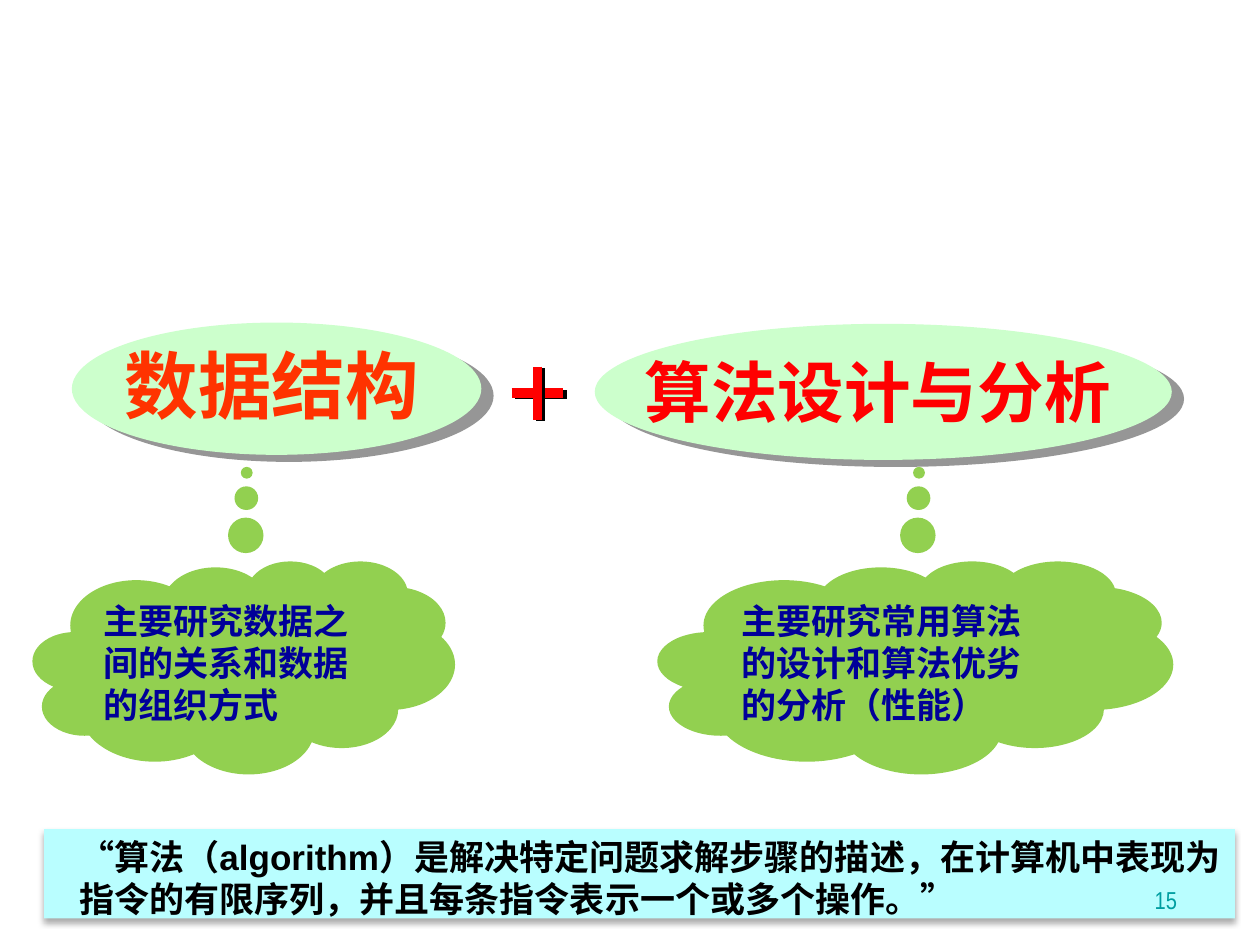
from dataclasses import dataclass

from lxml import etree
from pptx import Presentation
from pptx.dml.color import RGBColor
from pptx.enum.shapes import MSO_CONNECTOR, MSO_SHAPE
from pptx.enum.text import MSO_ANCHOR, PP_ALIGN
from pptx.oxml.ns import qn
from pptx.util import Inches, Pt

OVAL, RECT, CLOUD = MSO_SHAPE.OVAL, MSO_SHAPE.RECTANGLE, MSO_SHAPE.CLOUD_CALLOUT
LINE = MSO_CONNECTOR.STRAIGHT
TOP, BOTTOM = MSO_ANCHOR.TOP, MSO_ANCHOR.BOTTOM
LEFT, RIGHT = PP_ALIGN.LEFT, PP_ALIGN.RIGHT
BLANK = 6


@dataclass(frozen=True)
class Theme:
    latin: str = "Arial"
    han: str = "Noto Sans CJK SC"
    narrow: str = "Arial Narrow"
    mint: str = "CCFFCC"
    orange: str = "FF3300"
    red: str = "FF0000"
    green: str = "92D050"
    navy: str = "000099"
    aqua: str = "B9FEFF"
    teal: str = "009EA1"
    black: str = "000000"
    gray: str = "969696"
    head: int = 42
    wide: int = 38
    body: int = 20
    small: int = 14
    bar: float = 5.25


T = Theme()


def inch(box):
    return [Inches(v) for v in box]


def shade(shape, color, dist, angle, blur=0, alpha=100):
    """Give a shape or line an outer shadow; lengths are in points."""
    props = shape._element.spPr
    effect = props.find(qn("a:effectLst"))
    if effect is None:
        effect = etree.SubElement(props, qn("a:effectLst"))
    cast = etree.SubElement(effect, qn("a:outerShdw"), blurRad=str(Pt(blur)),
                            dist=str(Pt(dist)), dir=str(angle * 60000),
                            algn="ctr", rotWithShape="0")
    tint = etree.SubElement(cast, qn("a:srgbClr"), val=color)
    etree.SubElement(tint, qn("a:alpha"), val=str(alpha * 1000))


def write(shape, text, size, color, font=T.han, bold=True, align=LEFT,
          anchor=TOP, indent=0):
    """Write one paragraph; text is a string or a list of (text, font)."""
    frame = shape.text_frame
    frame.word_wrap = True
    frame.vertical_anchor = anchor
    para = frame.paragraphs[0]
    para.alignment = align
    if indent:
        para._p.get_or_add_pPr().set("marL", str(Inches(indent)))
    for part, face in [(text, font)] if isinstance(text, str) else text:
        run = para.add_run()
        run.text = part
        run.font.size, run.font.bold = Pt(size), bold
        run.font.color.rgb = RGBColor.from_string(color)
        run.font.name = face
        etree.SubElement(run._r.get_or_add_rPr(), qn("a:ea"), typeface=T.han)


def form(shapes, kind, box, fill):
    shape = shapes.add_shape(kind, *inch(box))
    shape.shadow.inherit = False
    shape.fill.solid()
    shape.fill.fore_color.rgb = RGBColor.from_string(fill)
    shape.line.fill.background()
    return shape


def topic(shapes, box, label, text, size, color):
    """Oval in box, with its label at offsets from the box corner."""
    x, y = box[:2]
    oval = form(shapes, OVAL, box, T.mint)
    shade(oval, T.gray, 8.1, 30)
    dx, dy, w, h = label
    note = shapes.add_textbox(*inch((x + dx, y + dy, w, h)))
    write(note, text, size, color, font=T.latin)


def plus(shapes, box):
    """Plus sign made of two crossing lines through the middle of box."""
    x, y, w, h = box
    mid, row = x + w / 2, y + h / 2
    for ends in ((x, row, x + w, row), (mid, y, mid, y + h)):
        bar = shapes.add_connector(LINE, *inch(ends))
        bar.line.color.rgb = RGBColor.from_string(T.red)
        bar.line.width = Pt(T.bar)
        shade(bar, T.black, 2.2, 27)


def thought(shapes, box, text):
    """Cloud whose bubbles rise to the topic above."""
    cloud = form(shapes, CLOUD, box, T.green)
    cloud.adjustments[0] = 0.007
    cloud.adjustments[1] = -0.913
    write(cloud, text, T.body, T.navy)


def define(shapes, box, parts):
    """Definition band at the foot of the slide."""
    band = form(shapes, RECT, box, T.aqua)
    shade(band, T.black, 2.2, 90, blur=3.5, alpha=32)
    write(band, parts, T.body, T.black, indent=0.18)


def number(shapes, box, text):
    note = shapes.add_textbox(*inch(box))
    write(note, text, T.small, T.teal, font=T.narrow, bold=False,
          align=RIGHT, anchor=BOTTOM)


def main():
    deck = Presentation()
    deck.slide_width, deck.slide_height = Inches(10), Inches(7.5)
    shapes = deck.slides.add_slide(deck.slide_layouts[BLANK]).shapes

    # Two topics joined by a plus sign
    first = shapes.add_group_shape().shapes
    topic(first, (0.57, 2.56, 3.25, 1.05), (0.32, 0.09, 3.92, 0.8),
          "数据结构", T.head, T.orange)
    second = shapes.add_group_shape().shapes
    topic(second, (4.72, 2.57, 4.58, 1.08), (0.3, 0.17, 4.67, 0.73),
          "算法设计与分析", T.wide, T.red)
    plus(second, (4.06, 2.91, 0.41, 0.42))

    # Definition
    define(shapes, (0.35, 6.58, 9.45, 0.71), [
        ("“算法（", T.han),
        ("algorithm）", T.latin),
        ("是解决特定问题求解步骤的描述，在计算机中表现为指令的有限序列，"
         "并且每条指令表示一个或多个操作。”", T.han),
    ])

    # What each topic studies
    for x, w, text in (
        (0.26, 3.35, "主要研究数据之间的关系和数据的组织方式"),
        (5.22, 4.09, "主要研究常用算法的设计和算法优劣的分析（性能）"),
    ):
        thought(shapes, (x, 4.45, w, 1.69), text)

    # Page number
    number(shapes, (7.36, 6.81, 2.08, 0.5), "15")
    deck.save("out.pptx")


if __name__ == "__main__":
    main()
